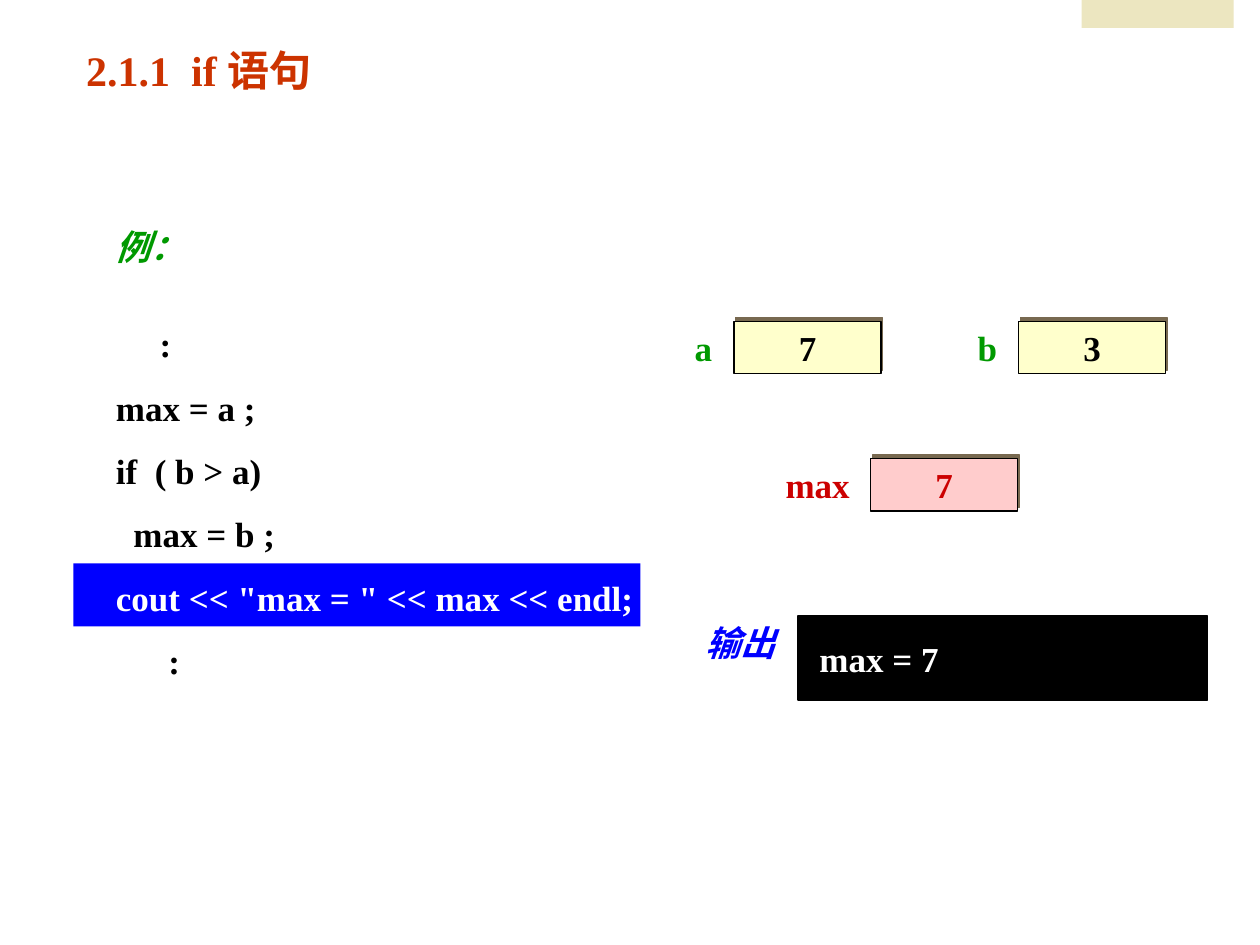
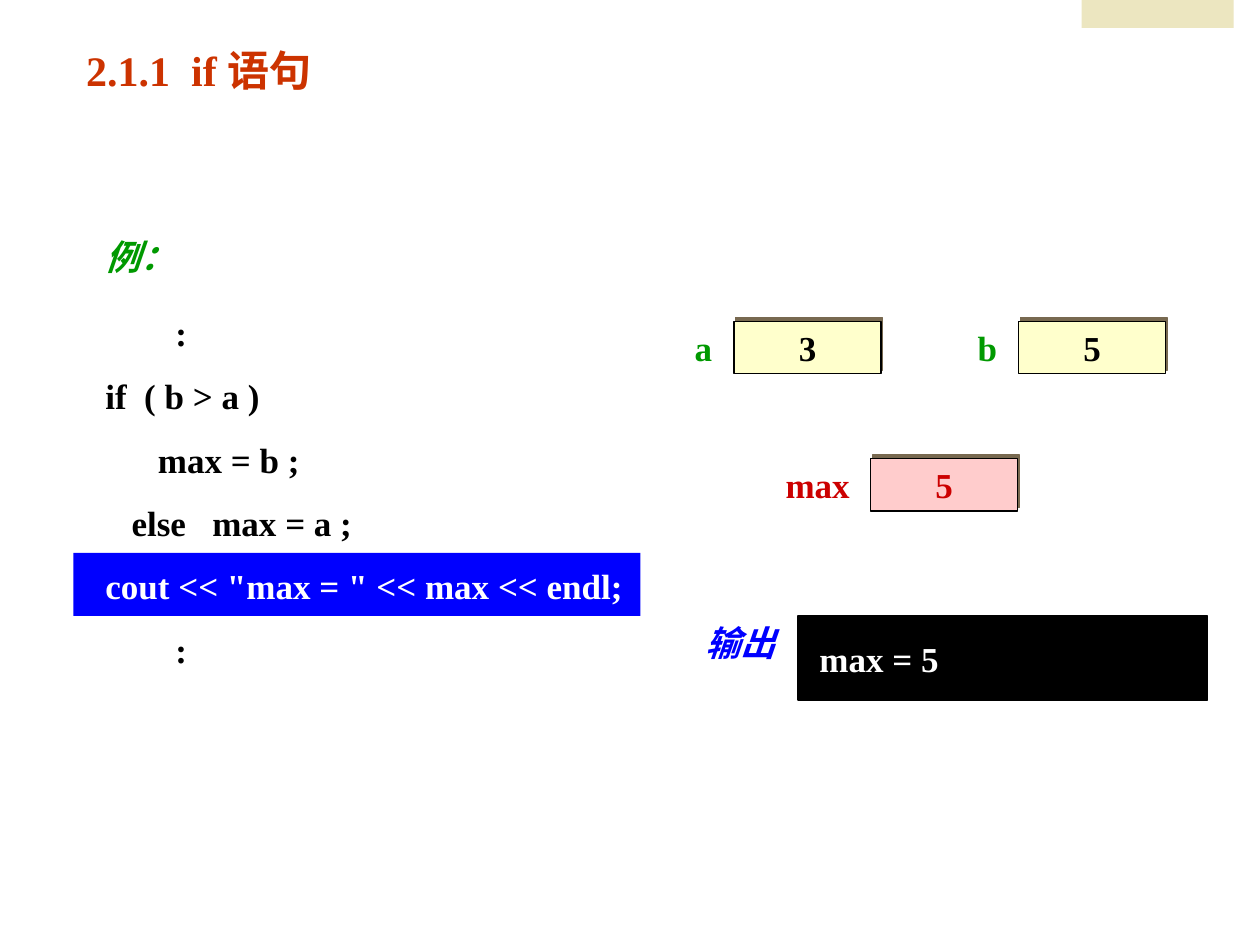
from lxml import etree
from pptx import Presentation
from pptx.dml.color import RGBColor
from pptx.enum.shapes import MSO_SHAPE
from pptx.enum.text import MSO_ANCHOR, MSO_AUTO_SIZE, PP_ALIGN
from pptx.oxml.ns import qn
from pptx.util import Pt

RECTANGLE = MSO_SHAPE.RECTANGLE
MIDDLE, TOP = MSO_ANCHOR.MIDDLE, MSO_ANCHOR.TOP
LEFT, CENTER = PP_ALIGN.LEFT, PP_ALIGN.CENTER
NO_FIT = MSO_AUTO_SIZE.NONE

FONT = "Times New Roman"
BLACK, WHITE, BLUE = "000000", "FFFFFF", "0000FF"
GREEN, RED, RUST = "009900", "CC0000", "CC3300"
YELLOW, PINK, SAND, SHADOW = "FFFFCC", "FFCCCC", "ECE6C0", "786950"

TITLE = "2.1.1  if 语句"
OUTPUT_LINE = 'cout << "max = " << max << endl;'
TITLE_BOX = (42, 16, 444, 48)
TAB_BOX = (618, 0, 87, 16)
VARIABLES_BOX = (389.5, 183.6, 276.5, 108.5)
OUTPUT_BOX = (396, 352, 294, 48)
CELL_WIDTH, CELL_HEIGHT = 84, 30
CODE_MARGIN, CODE_GAP = 17, 5

# Each code line is (text, indent in points); dots_gap is the space before the first ":"
EXAMPLES = [
    {"a": 7, "b": 3, "max": 7, "code_box": (42, 118, 336, 288),
     "bar_top": 204, "dots_gap": 24.4,
     "code": [("例：", 0), (":", 25), ("max = a ;", 0), ("if  ( b > a)", 0),
              ("max = b ;", 10), (OUTPUT_LINE, 0), (":", 30)]},
    {"a": 3, "b": 5, "max": 5, "code_box": (36, 124, 330, 306),
     "bar_top": 192, "dots_gap": 12,
     "code": [("例：", 0), (":", 40), ("if  ( b > a )", 0), ("max = b ;", 30),
              ("else   max = a ;", 15), (OUTPUT_LINE, 0), (":", 40)]},
]


def colour(value):
    return RGBColor.from_string(value)


def set_all(target, values):
    for name, value in values.items():
        setattr(target, name, value)


def place(shape, box):
    set_all(shape, dict(zip(("left", "top", "width", "height"), map(Pt, box))))


def write(para, text, ink, size=20, italic=False):
    span = para.add_run()
    span.text = text
    set_all(span.font, {"name": FONT, "size": Pt(size), "bold": True, "italic": italic})
    span.font.color.rgb = colour(ink)


def add_rectangle(page, box, fill, line=None):
    shape = page.shapes.add_shape(RECTANGLE, *map(Pt, box))
    shape.shadow.inherit = False
    shape.fill.solid()
    shape.fill.fore_color.rgb = colour(fill)
    if line:
        shape.line.color.rgb = colour(line)
        shape.line.width = Pt(0.75)
    else:
        shape.line.fill.background()
    return shape


def add_label(page, box, text, ink, italic=False):
    label = page.shapes.add_textbox(*map(Pt, box))
    set_all(label.text_frame, {"word_wrap": False, "vertical_anchor": MIDDLE,
                               "margin_left": 0, "margin_right": 0})
    para = label.text_frame.paragraphs[0]
    para.alignment = CENTER
    write(para, text, ink, italic=italic)


def add_hard_shadow(shape):
    effects = shape.element.spPr.find(qn("a:effectLst"))
    shadow = etree.SubElement(effects, qn("a:outerShdw"), blurRad="0", dist=str(Pt(2.2)),
                              dir=str(296 * 60000), algn="ctr", rotWithShape="0")
    etree.SubElement(shadow, qn("a:srgbClr"), val=SHADOW)


def add_heading(page):
    title = page.shapes.title
    place(title, TITLE_BOX)
    set_all(title.text_frame, {"vertical_anchor": MIDDLE, "auto_size": NO_FIT, "word_wrap": True})
    para = title.text_frame.paragraphs[0]
    para.alignment = LEFT
    write(para, TITLE, RUST, size=24)
    add_rectangle(page, TAB_BOX, SAND)


def add_code(page, box, example):
    body = page.placeholders[1]
    place(body, box)
    frame = body.text_frame
    set_all(frame, {"vertical_anchor": TOP, "auto_size": NO_FIT, "word_wrap": True})
    for number, (text, indent) in enumerate(example["code"]):
        para = frame.paragraphs[0] if number == 0 else frame.add_paragraph()
        gap = example["dots_gap"] if number == 1 else CODE_GAP
        set_all(para, {"line_spacing": 1.3, "space_before": Pt(gap), "alignment": LEFT})
        properties = para._p.get_or_add_pPr()
        properties.set("marL", str(Pt(CODE_MARGIN + indent)))
        properties.set("indent", "0")
        etree.SubElement(properties, qn("a:buNone"))
        ink = GREEN if number == 0 else WHITE if text == OUTPUT_LINE else BLACK
        write(para, text, ink, italic=number == 0)
    # Highlight behind the running line
    bar = add_rectangle(page, (42, box[1] + example["bar_top"], 324, 36), BLUE)
    body.element.addprevious(bar.element)


def add_variable(page, left, top, label_width, name, value, fill, name_ink, value_ink):
    add_label(page, (left, top - 1, label_width, 32), name, name_ink)
    cell_left = left + label_width + 5
    cell = add_rectangle(page, (cell_left, top, CELL_WIDTH, CELL_HEIGHT), fill, BLACK)
    add_hard_shadow(cell)
    set_all(cell.text_frame, {"word_wrap": False, "vertical_anchor": MIDDLE})
    para = cell.text_frame.paragraphs[0]
    para.alignment = CENTER
    write(para, str(value), value_ink)


def add_variables(page, box, example):
    left, top, width, height = box
    b_label = 25.5
    b_left = left + width - CELL_WIDTH - 5 - b_label
    max_top = top + height - CELL_HEIGHT
    add_variable(page, left, top, 25, "a", example["a"], YELLOW, GREEN, BLACK)
    add_variable(page, b_left, top, b_label, "b", example["b"], YELLOW, GREEN, BLACK)
    add_variable(page, left + 52.5, max_top, 50.5, "max", example["max"], PINK, RED, RED)


def add_output(page, box, value):
    left, top, width, height = box
    add_label(page, (left, top - 1, 54, 32), "输出", BLUE, italic=True)
    screen = add_rectangle(page, (left + 60, top, width - 60, height), BLACK, BLACK)
    set_all(screen.text_frame,
            {"word_wrap": False, "vertical_anchor": MIDDLE, "margin_left": Pt(12.2)})
    para = screen.text_frame.paragraphs[0]
    para.alignment = LEFT
    write(para, f"max = {value}", WHITE)


def add_example_slide(deck, example):
    page = deck.slides.add_slide(deck.slide_layouts[1])
    page.background.fill.solid()
    page.background.fill.fore_color.rgb = colour(WHITE)
    add_heading(page)
    add_code(page, example["code_box"], example)
    add_variables(page, VARIABLES_BOX, example)
    add_output(page, OUTPUT_BOX, example["max"])


def main():
    deck = Presentation()
    set_all(deck, {"slide_width": Pt(720), "slide_height": Pt(540)})
    for example in EXAMPLES:
        add_example_slide(deck, example)
    deck.save("out.pptx")


if __name__ == "__main__":
    main()
